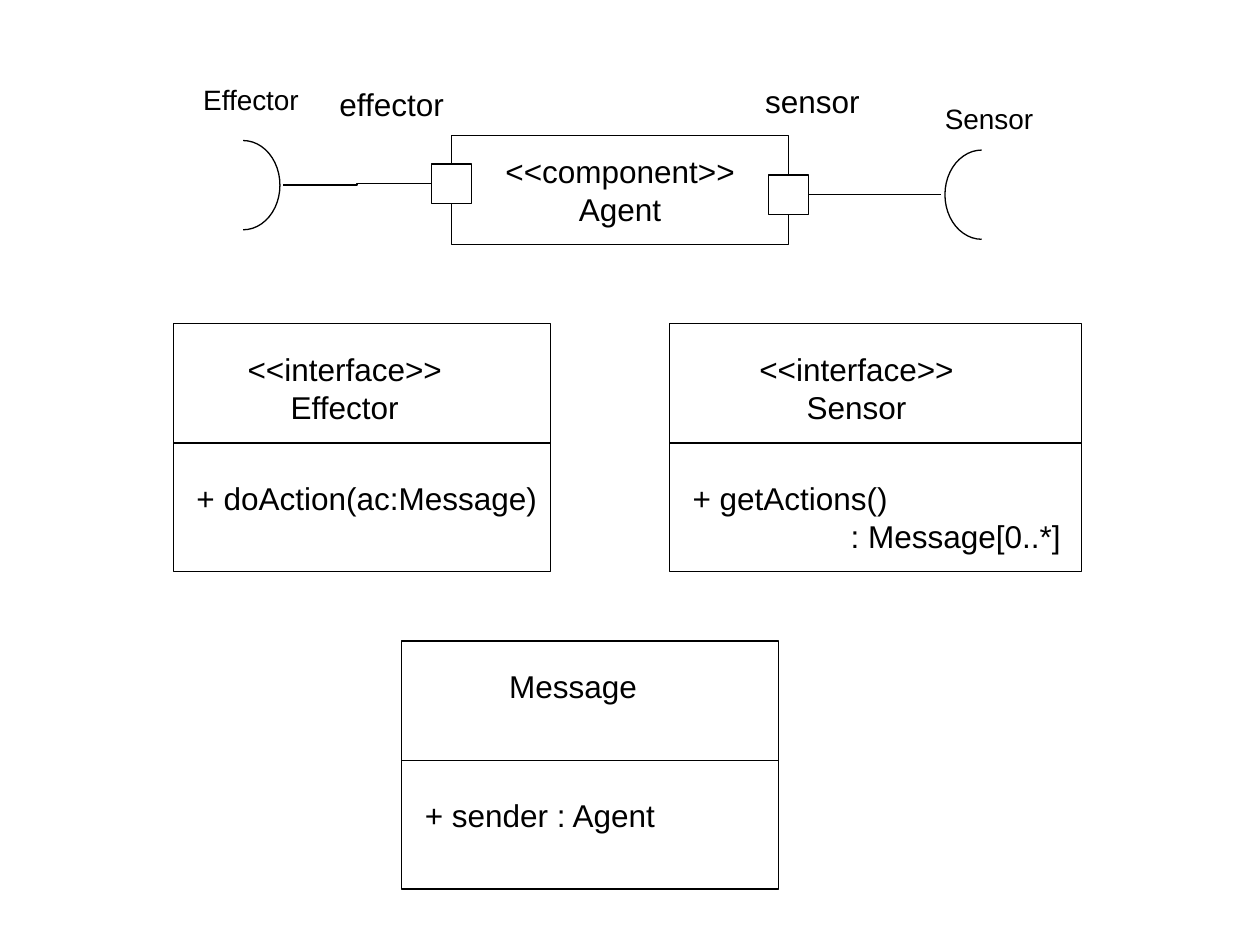
from dataclasses import dataclass

from lxml.etree import SubElement
from pptx import Presentation
from pptx.dml.color import RGBColor
from pptx.enum.shapes import MSO_CONNECTOR, MSO_SHAPE
from pptx.enum.text import MSO_ANCHOR, MSO_AUTO_SIZE, PP_ALIGN
from pptx.oxml.ns import qn
from pptx.util import Pt


@dataclass(frozen=True)
class Theme:
    ink: RGBColor = RGBColor(0, 0, 0)
    paper: RGBColor = RGBColor(255, 255, 255)
    font: str = "Arial"
    body: int = 18
    small: int = 16
    line: float = 0.75


THEME = Theme()
LEFT, CENTER, RIGHT = PP_ALIGN.LEFT, PP_ALIGN.CENTER, PP_ALIGN.RIGHT


def write(tf, lines, size=THEME.body, aligns=(CENTER,), wrap=False):
    tf.word_wrap = wrap
    for i, line in enumerate(lines):
        p = tf.paragraphs[0] if i == 0 else tf.add_paragraph()
        p.alignment = aligns[min(i, len(aligns) - 1)]
        r = p.add_run()
        r.text = line
        r.font.name = THEME.font
        r.font.size = Pt(size)
        r.font.color.rgb = THEME.ink


def add_text(shapes, box, lines, **fmt):
    s = shapes.add_textbox(*map(Pt, box))
    write(s.text_frame, lines, **fmt)
    s.text_frame.auto_size = MSO_AUTO_SIZE.SHAPE_TO_FIT_TEXT


def add_outline(shapes, kind, box, filled=True):
    s = shapes.add_shape(kind, *map(Pt, box))
    s.shadow.inherit = False
    if filled:
        s.fill.solid()
        s.fill.fore_color.rgb = THEME.paper
    else:
        s.fill.background()
    s.line.color.rgb = THEME.ink
    s.line.width = Pt(THEME.line)
    return s


def add_line(shapes, start, end, kind=MSO_CONNECTOR.STRAIGHT):
    c = shapes.add_connector(kind, *map(Pt, (*start, *end)))
    c.line.color.rgb = THEME.ink
    c.line.width = Pt(THEME.line)
    SubElement(c._element.spPr, qn("a:effectLst"))
    return c


def add_socket(shapes, box, start, end):
    s = add_outline(shapes, MSO_SHAPE.ARC, box, filled=False)
    s.adjustments[0], s.adjustments[1] = start, end


def add_component(shapes, box):
    x, y, w, h = box
    s = add_outline(shapes, MSO_SHAPE.RECTANGLE, box)
    s.text_frame.vertical_anchor = MSO_ANCHOR.MIDDLE
    write(s.text_frame, ["<<component>>", "Agent"])

    port_w, port_h = 23, 22.5
    effector_y, sensor_y = y + 16.5, y + 22.7
    effector, sensor = (
        add_outline(shapes, MSO_SHAPE.RECTANGLE,
                    (cx - port_w / 2, port_y, port_w, port_h))
        for cx, port_y in ((x, effector_y), (x + w, sensor_y))
    )
    add_text(shapes, (x - 71.2, y - 32.5, 74, 29), ["effector"])
    add_text(shapes, (x + 172, y - 34, 68.5, 29), ["sensor"])

    socket_w, socket_h = 42, 51
    mid = sensor_y + port_h / 2
    add_socket(shapes, (x - 140, y + 3, socket_w, socket_h), 162, 54)
    add_socket(shapes, (x + 282, mid - socket_h / 2, socket_w, socket_h), 54, 162)
    add_text(shapes, (x - 149, y - 33.7, 69, 26.5), ["Effector"], size=THEME.small)
    add_text(shapes, (x + 274.7, y - 22.8, 65, 26.5), ["Sensor"], size=THEME.small)

    c = add_line(shapes, (x - port_w / 2, effector_y + port_h / 2),
                 (x - 96.5, y + 28.5), MSO_CONNECTOR.ELBOW)
    c.begin_connect(effector, 1)
    c = add_line(shapes, (x + w + port_w / 2, mid), (x + 280, mid))
    c.begin_connect(sensor, 3)


def add_class(shapes, box, title, title_x, title_w, members, member_w, **fmt):
    x, y, w, h = box
    g = shapes.add_group_shape().shapes
    add_outline(g, MSO_SHAPE.RECTANGLE, box)
    line_h = 21.6
    add_text(g, (x + title_x, y + 11.5, title_w, 7.2 + line_h * len(title)), title)
    add_line(g, (x, y + 68.2), (x + w, y + 68.2))
    add_text(g, (x + 6.2, y + 85.2, member_w, 7.2 + line_h * len(members)),
             members, **fmt)


def main():
    prs = Presentation()
    prs.slide_width, prs.slide_height = Pt(720), Pt(540)
    shapes = prs.slides.add_slide(prs.slide_layouts[6]).shapes
    add_component(shapes, (258, 77.3, 192.7, 62.5))
    add_class(shapes, (99, 185, 215.5, 141.7), ["<<interface>>", "Effector"],
              33, 130, ["+ doAction(ac:Message)"], 209, aligns=(LEFT,))
    add_class(shapes, (382.5, 185, 235.5, 141.7), ["<<interface>>", "Sensor"],
              42, 130, ["+ getActions()", ": Message[0..*]"], 224.5,
              aligns=(LEFT, RIGHT), wrap=True)
    add_class(shapes, (229.5, 366.3, 215.5, 141.7), ["Message"],
              53, 90, ["+ sender : Agent"], 147, aligns=(LEFT,))
    prs.save("out.pptx")


if __name__ == "__main__":
    main()
